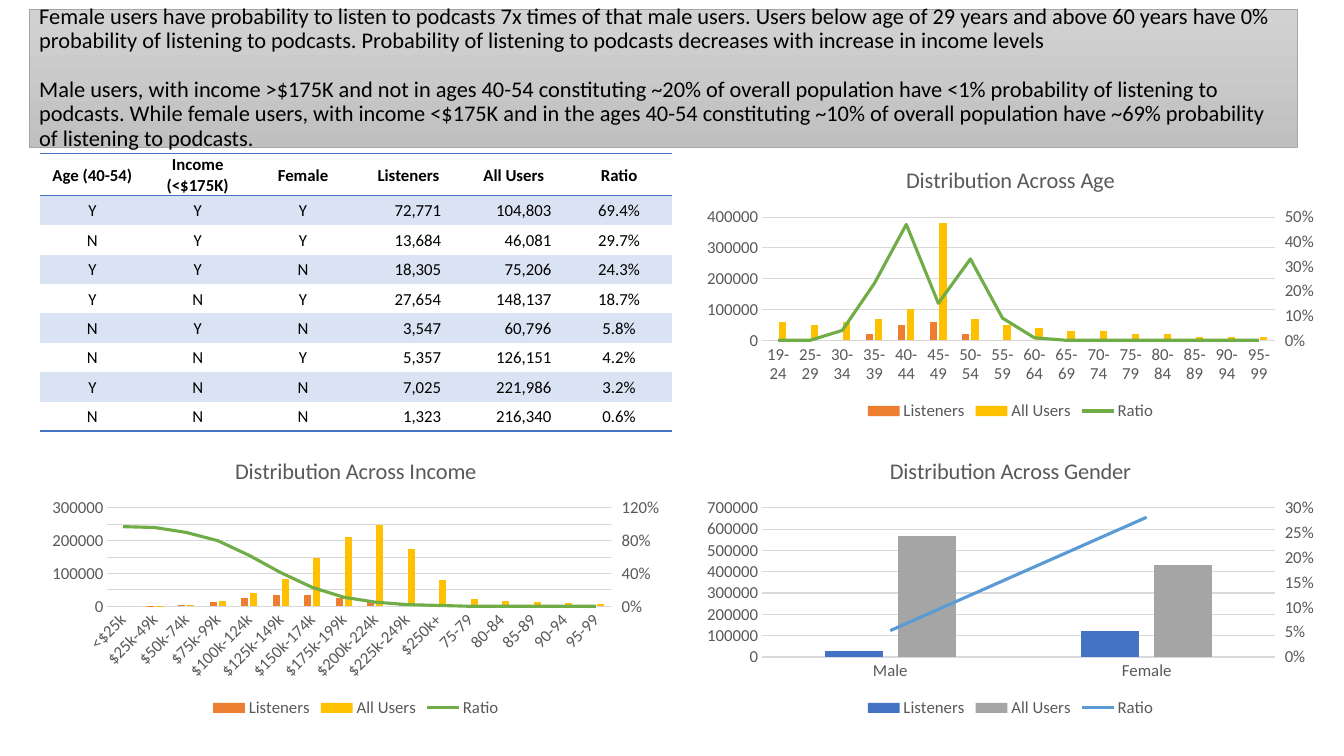
from copy import deepcopy
from dataclasses import dataclass

from pptx import Presentation
from pptx.chart.axis import CategoryAxis as CatAxis, ValueAxis as ValAxis
from pptx.chart.data import CategoryChartData as ChartData
from pptx.dml.color import RGBColor as RGB
from pptx.enum.chart import XL_CHART_TYPE as Kind, XL_LEGEND_POSITION as Place
from pptx.enum.chart import XL_MARKER_STYLE as Marker, XL_TICK_MARK as Tick
from pptx.enum.shapes import MSO_SHAPE as Form
from pptx.enum.text import MSO_ANCHOR as Anchor, PP_ALIGN as Align
from pptx.oxml import parse_xml
from pptx.oxml.ns import nsdecls, qn
from pptx.util import Cm, Pt


@dataclass(frozen=True)
class Theme:
    font: str = "Calibri"
    ink: str = "000000"
    soft: str = "595959"
    grid: str = "D9D9D9"
    blue: str = "4472C4"
    band: str = "DAE3F3"
    top: str = "D2D2D2"
    base: str = "C0C0C0"
    gray: str = "A5A5A5"
    warm: tuple = ("ED7D31", "FFC000", "70AD47")
    cool: tuple = ("4472C4", "A5A5A5", "5B9BD5")
    head: int = 16
    body: int = 12


T = Theme()
NO_STYLE = "{2D5ABB26-0587-4C30-8999-92F81FD0307C}"

LEADS = [
    "Female users have probability to listen to podcasts 7x times of that male users. "
    "Users below age of 29 years and above 60 years have 0% probability of listening to "
    "podcasts. Probability of listening to podcasts decreases with increase in income levels",
    "Male users, with income >$175K and not in ages 40-54 constituting ~20% of overall "
    "population have <1% probability of listening to podcasts. While female users, with "
    "income <$175K and in the ages 40-54 constituting ~10% of overall population have ~69% "
    "probability of listening to podcasts.",
]
ROWS = [
    ("Age (40-54)", "Income (<$175K)", "Female", "Listeners", "All Users", "Ratio"),
    ("Y", "Y", "Y", "72,771", "104,803", "69.4%"),
    ("N", "Y", "Y", "13,684", "46,081", "29.7%"),
    ("Y", "Y", "N", "18,305", "75,206", "24.3%"),
    ("Y", "N", "Y", "27,654", "148,137", "18.7%"),
    ("N", "Y", "N", "3,547", "60,796", "5.8%"),
    ("N", "N", "Y", "5,357", "126,151", "4.2%"),
    ("Y", "N", "N", "7,025", "221,986", "3.2%"),
    ("N", "N", "N", "1,323", "216,340", "0.6%"),
]
INSETS = {3: 0.5, 4: 0.38}  # right margins of the number columns

AGES = [f"{a}-{a + 4}" for a in range(25, 100, 5)]
BANDS = ["<$25k", "$25k-49k", "$50k-74k", "$75k-99k"]
BANDS += [f"${k}k-{k + 24}k" for k in range(100, 250, 25)] + ["$250k+"]

# Each series in thousands of users, then the ratio; axes are (maximum, step)
AGE = dict(
    title="Distribution Across Age", cats=["19-24"] + AGES, hues=T.warm,
    users=([0, 0, 0, 20, 50, 60, 20] + [0] * 9,
           [60, 50, 60, 70, 100, 380, 70, 50, 40, 30, 30, 20, 20, 10, 10, 10]),
    ratio=[0, 0, 0.04, 0.23, 0.47, 0.15, 0.33, 0.09, 0.01] + [0] * 7,
    left=(400000, 100000), right=(0.5, 0.1))
INCOME = dict(
    title="Distribution Across Income", cats=BANDS + AGES[-5:], hues=T.warm,
    users=([0, 1, 4, 12, 24, 34, 34, 24, 12, 4, 1] + [0] * 5,
           [0, 1, 5, 15, 39, 82, 146, 211, 247, 174, 80, 21, 16, 12, 9, 7]),
    ratio=[0.97, 0.96, 0.9, 0.8, 0.62, 0.41, 0.23, 0.11, 0.05, 0.02, 0.01] + [0] * 5,
    left=(300000, 50000), right=(1.2, 0.2))
GENDER = dict(
    title="Distribution Across Gender", cats=["Male", "Female"], hues=T.cool,
    users=([30, 120], [570, 430]), ratio=[0.053, 0.281],
    left=(700000, 100000), right=(0.3, 0.05))


def style(font, size, hue, bold=False):
    font.name, font.size, font.bold = T.font, Pt(size), bold
    font.color.rgb = RGB.from_string(hue)


def write(para, text, size, bold=False):
    run = para.add_run()
    run.text = text
    style(run.font, size, T.ink, bold)


# Grey panel with the findings
def add_lead(slide, box):
    panel = slide.shapes.add_shape(Form.RECTANGLE, *box)
    panel.shadow.inherit = False
    panel.fill.gradient()
    panel.fill.gradient_angle = 270
    for stop, hue in zip(panel.fill.gradient_stops, (T.top, T.base)):
        stop.color.rgb = RGB.from_string(hue)
    panel.line.color.rgb = RGB.from_string(T.gray)
    panel.line.width = Pt(0.5)
    frame = panel.text_frame
    frame.word_wrap, frame.vertical_anchor = True, Anchor.MIDDLE
    for i, text in enumerate(LEADS):
        para = frame.add_paragraph() if i else frame.paragraphs[0]
        para.alignment, para.line_spacing = Align.LEFT, 0.9
        para.space_before = Pt(17.6 * i)
        write(para, text, T.head)


# Table of segments
def rule(cell, side):
    cell._tc.get_or_add_tcPr().append(parse_xml(
        f'<a:{side} {nsdecls("a")} w="12700"><a:solidFill>'
        f'<a:srgbClr val="{T.blue}"/></a:solidFill></a:{side}>'))


def add_grid(slide, box):
    table = slide.shapes.add_table(len(ROWS), len(ROWS[0]), *box).table
    table._tbl.tblPr.find(qn("a:tableStyleId")).text = NO_STYLE
    first = Cm(1.05)
    for r, row in enumerate(ROWS):
        table.rows[r].height = int((box[3] - first) / (len(ROWS) - 1)) if r else first
        for c, text in enumerate(row):
            cell = table.cell(r, c)
            cell.vertical_anchor = Anchor.MIDDLE
            cell.margin_left = cell.margin_right = cell.margin_top = Cm(0.03)
            cell.margin_bottom = 0
            para = cell.text_frame.paragraphs[0]
            para.alignment = Align.CENTER
            if r and c in INSETS:
                para.alignment = Align.RIGHT
                cell.margin_right = Cm(INSETS[c])
            write(para, text, T.body, r == 0)
            if r == 0:
                rule(cell, "lnT")
            if r in (0, len(ROWS) - 1):
                rule(cell, "lnB")
            if r % 2:
                cell.fill.solid()
                cell.fill.fore_color.rgb = RGB.from_string(T.band)
            else:
                cell.fill.background()


# Columns with a ratio line on a second axis
def scale(axis, top, step, form):
    axis.minimum_scale, axis.maximum_scale, axis.major_unit = 0, top, step
    axis.tick_labels.number_format = form
    axis.tick_labels.number_format_is_linked = False


def split_line(chart):
    area = chart._chartSpace.chart.plotArea
    bars = area.find(qn("c:barChart"))
    ser = bars.findall(qn("c:ser"))[-1]
    flip = ser.find(qn("c:invertIfNegative"))
    if flip is not None:
        ser.remove(flip)
    line = parse_xml(
        f'<c:lineChart {nsdecls("c")}><c:grouping val="standard"/><c:varyColors val="0"/>'
        '<c:marker val="1"/><c:axId val="501"/><c:axId val="502"/></c:lineChart>')
    line.insert(2, ser)
    bars.addnext(line)
    cat, val = (deepcopy(area.find(qn(tag))) for tag in ("c:catAx", "c:valAx"))
    for axis, own, other in ((cat, "501", "502"), (val, "502", "501")):
        axis.find(qn("c:axId")).set("val", own)
        axis.find(qn("c:crossAx")).set("val", other)
    val.find(qn("c:axPos")).set("val", "r")
    val.find(qn("c:crosses")).set("val", "max")
    area.find(qn("c:valAx")).addnext(val)
    val.addnext(cat)
    CatAxis(cat).visible = False
    return ValAxis(val)


def add_combo(slide, box, title, cats, hues, users, ratio, left, right):
    data = ChartData()
    data.categories = cats
    for name, vals in zip(("Listeners", "All Users"), users):
        data.add_series(name, [v * 1000 for v in vals])
    data.add_series("Ratio", ratio)
    chart = slide.shapes.add_chart(Kind.COLUMN_CLUSTERED, *box, data).chart
    style(chart.font, T.body, T.soft)
    chart.has_title = True
    run = chart.chart_title.text_frame.paragraphs[0].add_run()
    run.text = title
    style(run.font, T.head, T.soft)
    chart.has_legend = True
    chart.legend.position, chart.legend.include_in_layout = Place.BOTTOM, False
    style(chart.legend.font, T.body, T.soft)

    base, side = chart.category_axis, chart.value_axis
    for axis in (base, side):
        axis.major_tick_mark = axis.minor_tick_mark = Tick.NONE
        style(axis.tick_labels.font, T.body, T.soft)
    side.format.line.fill.background()
    for edge in (base.format.line, side.major_gridlines.format.line):
        edge.color.rgb, edge.width = RGB.from_string(T.grid), Pt(0.75)
    base._element.find(qn("c:txPr")).find(qn("a:bodyPr")).set("rot", "-60000000")

    far = split_line(chart)
    far.has_major_gridlines = False
    far.major_tick_mark = Tick.OUTSIDE
    scale(side, *left, "General")
    scale(far, *right, "0%")

    bars, line = chart.plots
    bars.gap_width, bars.overlap, bars.vary_by_categories = 219, -27, False
    for ser, hue in zip(bars.series, hues):
        ser.format.fill.solid()
        ser.format.fill.fore_color.rgb = RGB.from_string(hue)
    trend = line.series[0]
    trend.smooth, trend.marker.style = False, Marker.NONE
    trend.format.line.color.rgb = RGB.from_string(hues[-1])
    trend.format.line.width = Pt(2.25)


def main():
    deck = Presentation()
    deck.slide_width, deck.slide_height = Cm(33.87), Cm(19.05)
    slide = deck.slides.add_slide(deck.slide_layouts[6])
    west, east, low, wide = Cm(1), Cm(17.5), Cm(11.1), Cm(15.93)
    add_lead(slide, (Cm(0.74), Cm(0.23), Cm(31.95), Cm(3.48)))
    add_grid(slide, (west, Cm(3.87), wide, Cm(6.98)))
    add_combo(slide, (east, Cm(3.78), wide, Cm(6.93)), **AGE)
    add_combo(slide, (east, low, wide, Cm(7.09)), **GENDER)
    add_combo(slide, (west, low, wide, Cm(7.09)), **INCOME)
    deck.save("out.pptx")


if __name__ == "__main__":
    main()
